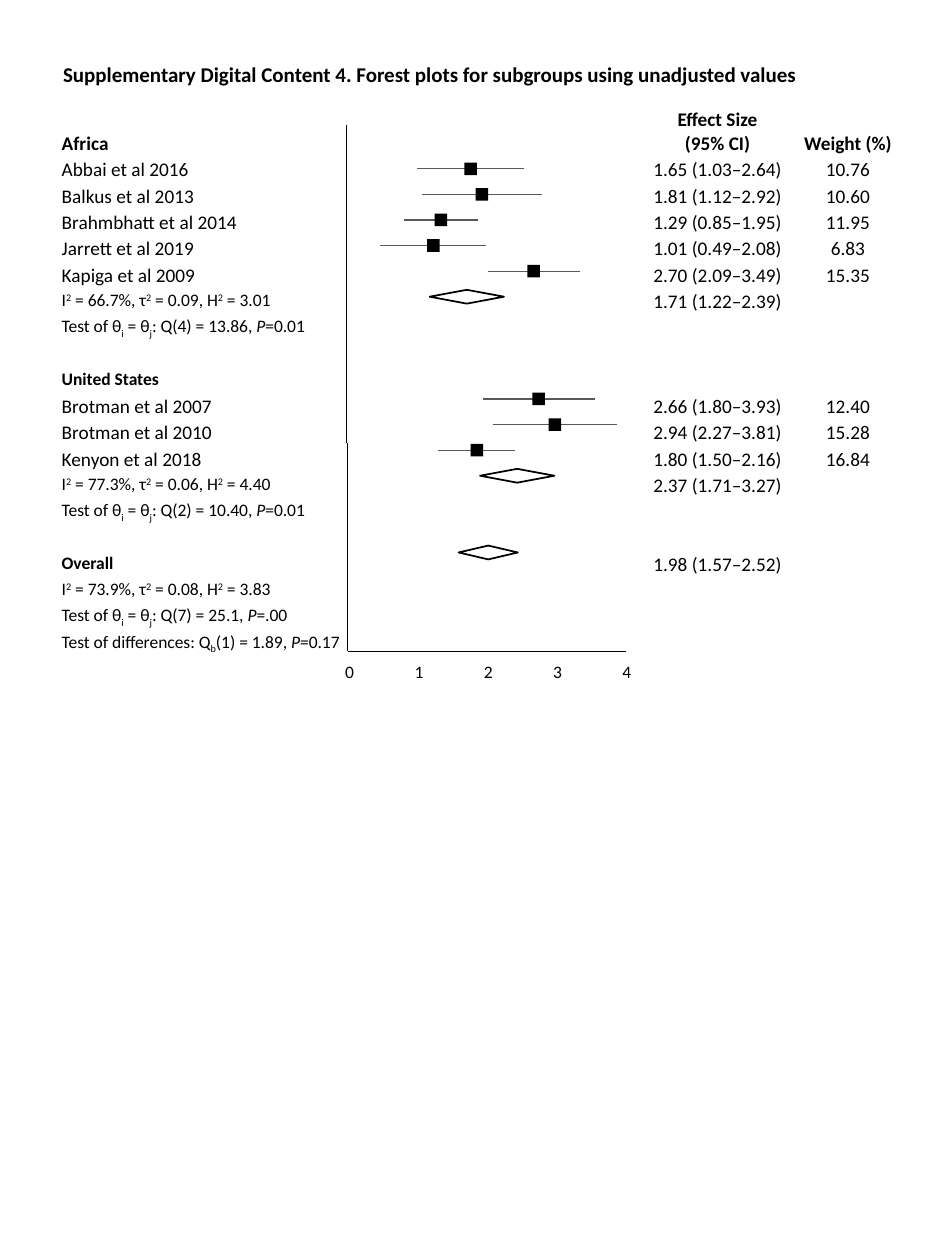
from dataclasses import dataclass
from typing import NamedTuple

from lxml.etree import SubElement
from pptx import Presentation
from pptx.dml.color import RGBColor
from pptx.enum.shapes import MSO_CONNECTOR as Connector, MSO_SHAPE as Shape
from pptx.enum.text import MSO_ANCHOR as Anchor, MSO_AUTO_SIZE as AutoSize, PP_ALIGN as Align
from pptx.oxml.ns import qn
from pptx.util import Emu, Pt

PX_PER_INCH = 1000
BLACK = RGBColor(0, 0, 0)
GRAY = RGBColor(0x59, 0x59, 0x59)
WHITE = RGBColor(0xFF, 0xFF, 0xFF)
FONT = "Calibri"

TABLE_LEFT, TABLE_TOP = 480, 850
COLUMN_WIDTHS = (2290, 2260, 1330, 740)
HEADER_HEIGHT, ROW_HEIGHT = 397, 208
CELL_MARGIN = 10
PLOT_TOP, PLOT_PITCH = 1340, 203
MARKER_SIZE, DIAMOND_HEIGHT = 100, 110
AXIS_LEFT, AXIS_RIGHT, AXIS_BOTTOM = 2760, 4970, 5170
AXIS_TOP, AXIS_JOINT = 990, 3520
TICK_LEFT, TICK_PITCH, TICK_TOP = 2740, 550, 5250
TICK_WIDTH, TICK_HEIGHT = 70, 170


class Span(NamedTuple):
    text: str
    baseline: int = 0
    italic: bool = False


@dataclass(frozen=True)
class ForestRow:
    label: tuple[Span, ...] = ()
    effect: str = ""
    weight: str = ""
    interval: tuple[int, int] | None = None
    label_size: int = 10
    bold: bool = False


def px(length: int) -> Emu:
    return Emu(round(length * 914400 / PX_PER_INCH))


def study(name: str, effect: str, weight: str, low: int, high: int) -> ForestRow:
    return ForestRow((Span(name),), effect, weight, (low, high), label_size=11)


def heading(name: str, effect: str = "", interval: tuple[int, int] | None = None) -> ForestRow:
    return ForestRow((Span(name),), effect, interval=interval, bold=True)


def heterogeneity(i2: str, tau2: str, h2: str, effect: str = "",
                  interval: tuple[int, int] | None = None) -> ForestRow:
    square = Span("2", 30000)
    label = (Span("I"), square, Span(f" = {i2}, τ"), square,
             Span(f" = {tau2}, H"), square, Span(f" = {h2}"))
    return ForestRow(label, effect, interval=interval)


def theta_test(statistic: str, p_value: str) -> ForestRow:
    return ForestRow((Span("Test of θ"), Span("i", -25000), Span(" = θ"), Span("j", -25000),
                      Span(f": {statistic}, "), Span("P", italic=True), Span(f"={p_value}")))


ROWS = (
    study("Abbai et al 2016", "1.65 (1.03–2.64)", "10.76", 3310, 4160),
    study("Balkus et al 2013", "1.81 (1.12–2.92)", "10.60", 3350, 4300),
    study("Brahmbhatt et al 2014", "1.29 (0.85–1.95)", "11.95", 3210, 3790),
    study("Jarrett et al 2019", "1.01 (0.49–2.08)", "6.83", 3020, 3860),
    study("Kapiga et al 2009", "2.70 (2.09–3.49)", "15.35", 3870, 4600),
    heterogeneity("66.7%", "0.09", "3.01", "1.71 (1.22–2.39)", (3410, 4000)),
    theta_test("Q(4) = 13.86", "0.01"),
    ForestRow(),
    heading("United States"),
    study("Brotman et al 2007", "2.66 (1.80–3.93)", "12.40", 3830, 4720),
    study("Brotman et al 2010", "2.94 (2.27–3.81)", "15.28", 3910, 4900),
    study("Kenyon et al 2018", "1.80 (1.50–2.16)", "16.84", 3480, 4090),
    heterogeneity("77.3%", "0.06", "4.40", "2.37 (1.71–3.27)", (3810, 4400)),
    theta_test("Q(2) = 10.40", "0.01"),
    ForestRow(),
    heading("Overall", "1.98 (1.57–2.52)", (3640, 4110)),
    heterogeneity("73.9%", "0.08", "3.83"),
    theta_test("Q(7) = 25.1", "0.00".lstrip("0")),
    ForestRow((Span("Test of differences: Q"), Span("b", -25000), Span("(1) = 1.89, "),
               Span("P", italic=True), Span("=0.17"))),
)


def write(frame, text: str | tuple[Span, ...], *, size: int = 11, bold: bool = False,
          align: Align = Align.LEFT) -> None:
    paragraph = frame.paragraphs[0]
    paragraph.alignment = align
    spans = (Span(text),) if isinstance(text, str) else text
    for span in spans:
        for index, line in enumerate(span.text.split("\n")):
            if index:
                paragraph.add_line_break()
            if not line:
                continue
            run = paragraph.add_run()
            run.text = line
            font = run.font
            font.name, font.size = FONT, Pt(size)
            font.bold, font.italic = bold, span.italic
            font.color.rgb = BLACK
            if span.baseline:
                font._element.set("baseline", str(span.baseline))
    SubElement(paragraph._p, qn("a:endParaRPr"), sz=str(size * 100))


def add_line(slide, start: tuple[int, int], end: tuple[int, int], color: RGBColor = BLACK) -> None:
    line = slide.shapes.add_connector(Connector.STRAIGHT, *map(px, start + end))
    line.line.color.rgb = color
    line.line.width = Pt(0.75)
    SubElement(line._element.spPr, qn("a:effectLst"))


def add_marker(slide, kind: Shape, center: tuple[int, int], width: int, height: int,
               fill: RGBColor, outlined: bool = False) -> None:
    left, top = center[0] - width // 2, center[1] - height // 2
    marker = slide.shapes.add_shape(kind, px(left), px(top), px(width), px(height))
    marker.shadow.inherit = False
    marker.fill.solid()
    marker.fill.fore_color.rgb = fill
    if outlined:
        marker.line.color.rgb = BLACK
        marker.line.width = Pt(1)
    else:
        marker.line.fill.background()


def add_title(slide, text: str) -> None:
    title = slide.shapes.title
    title.left, title.top, title.width, title.height = map(px, (400, 440, 6560, 300))
    frame = title.text_frame
    frame.word_wrap, frame.auto_size = True, AutoSize.NONE
    frame.vertical_anchor = Anchor.MIDDLE
    write(frame, text, size=12, bold=True)


def fill_cell(cell, text: str | tuple[Span, ...], anchor: Anchor, **style) -> None:
    cell.margin_left = cell.margin_right = px(CELL_MARGIN)
    cell.margin_top = cell.margin_bottom = px(CELL_MARGIN)
    cell.vertical_anchor = anchor
    cell.fill.background()
    write(cell.text_frame, text, **style)


def add_results_table(slide) -> None:
    height = HEADER_HEIGHT + ROW_HEIGHT * len(ROWS)
    table = slide.shapes.add_table(len(ROWS) + 1, len(COLUMN_WIDTHS), px(TABLE_LEFT), px(TABLE_TOP),
                                   px(sum(COLUMN_WIDTHS)), px(height)).table
    table.first_row = table.horz_banding = False
    for column, width in zip(table.columns, COLUMN_WIDTHS):
        column.width = px(width)
    for index, table_row in enumerate(table.rows):
        table_row.height = px(ROW_HEIGHT if index else HEADER_HEIGHT)
    for column, text in enumerate(("Africa", "", "Effect Size\n(95% CI)", "Weight (%)")):
        fill_cell(table.cell(0, column), text, Anchor.BOTTOM, bold=True,
                  align=Align.CENTER if column else Align.LEFT)
    for index, row in enumerate(ROWS, start=1):
        fill_cell(table.cell(index, 0), row.label, Anchor.TOP, size=row.label_size, bold=row.bold)
        for column, text in enumerate(("", row.effect, row.weight), start=1):
            fill_cell(table.cell(index, column), text, Anchor.TOP, align=Align.CENTER)


def add_axes(slide) -> None:
    add_line(slide, (AXIS_LEFT - 10, AXIS_TOP), (AXIS_LEFT - 10, AXIS_JOINT))
    add_line(slide, (AXIS_LEFT, AXIS_JOINT), (AXIS_LEFT, AXIS_BOTTOM))
    add_line(slide, (AXIS_LEFT, AXIS_BOTTOM), (AXIS_RIGHT, AXIS_BOTTOM))
    for value in range(5):
        tick = slide.shapes.add_textbox(px(TICK_LEFT + value * TICK_PITCH), px(TICK_TOP),
                                        px(TICK_WIDTH), px(TICK_HEIGHT))
        frame = tick.text_frame
        frame.margin_left = frame.margin_right = frame.margin_top = frame.margin_bottom = 0
        frame.word_wrap = False
        write(frame, str(value), size=10, align=Align.CENTER)


def add_estimates(slide) -> None:
    for index, row in enumerate(ROWS):
        if row.interval is None:
            continue
        low, high = row.interval
        y = PLOT_TOP + index * PLOT_PITCH
        center = ((low + high) // 2, y)
        if row.weight:
            add_line(slide, (low, y), (high, y), GRAY)
            add_marker(slide, Shape.RECTANGLE, center, MARKER_SIZE, MARKER_SIZE, BLACK)
        else:
            add_marker(slide, Shape.DIAMOND, center, high - low, DIAMOND_HEIGHT, WHITE, outlined=True)


def main() -> None:
    deck = Presentation()
    deck.slide_width, deck.slide_height = px(7500), px(10000)
    slide = deck.slides.add_slide(deck.slide_layouts[5])
    add_title(slide, "Supplementary Digital Content 4. Forest plots for subgroups using unadjusted values")
    add_results_table(slide)
    add_axes(slide)
    add_estimates(slide)
    deck.save("out.pptx")


if __name__ == "__main__":
    main()
